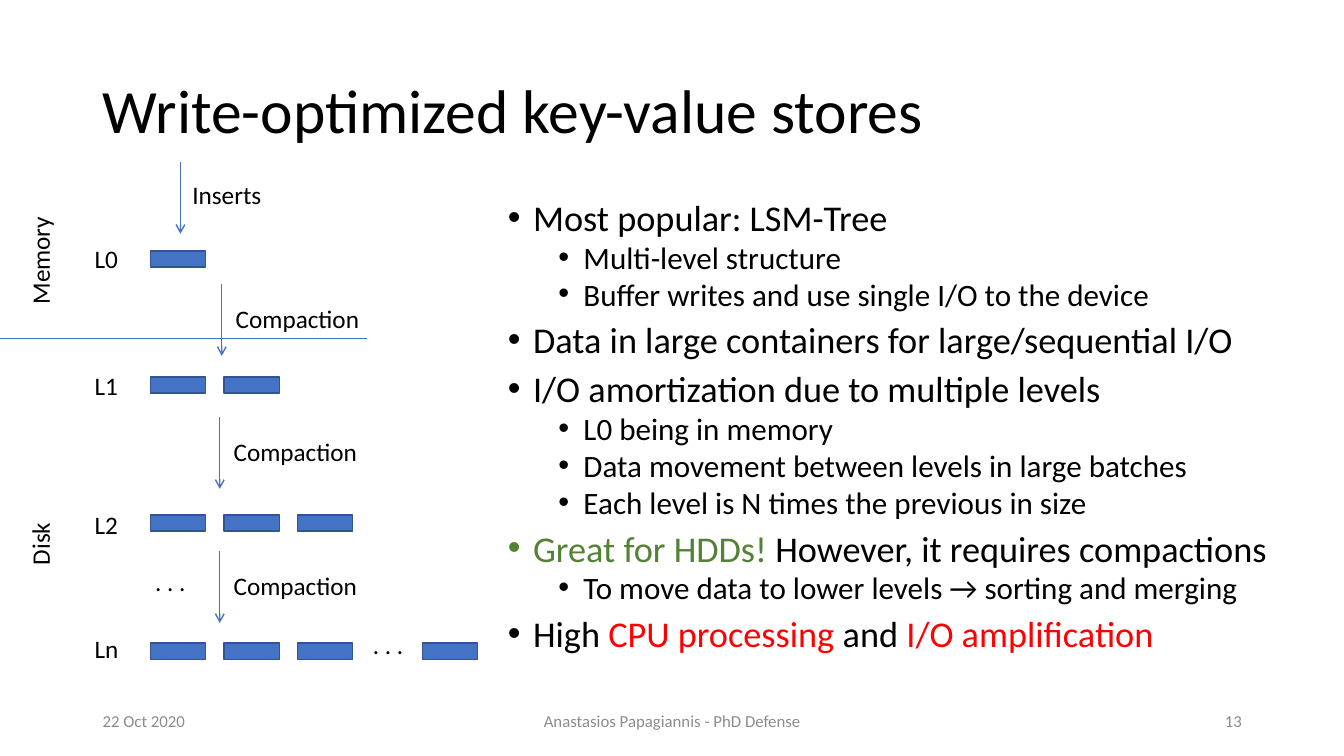
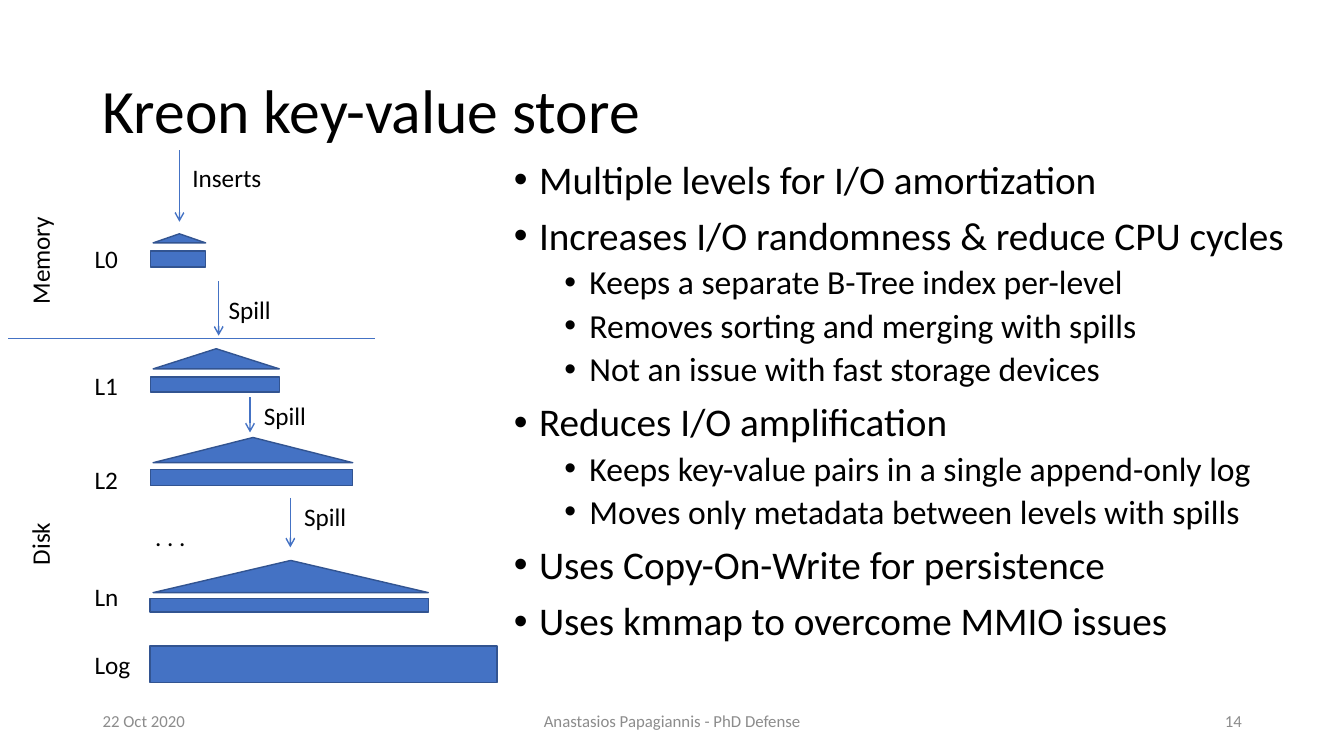
from dataclasses import dataclass

from lxml import etree
from pptx import Presentation
from pptx.dml.color import RGBColor
from pptx.enum.shapes import MSO_CONNECTOR, MSO_SHAPE
from pptx.enum.text import MSO_ANCHOR, MSO_AUTO_SIZE, PP_ALIGN
from pptx.oxml.ns import qn
from pptx.util import Pt

LEFT, CENTER, RIGHT = PP_ALIGN.LEFT, PP_ALIGN.CENTER, PP_ALIGN.RIGHT
TOP, MIDDLE = MSO_ANCHOR.TOP, MSO_ANCHOR.MIDDLE
NO_AUTOFIT = MSO_AUTO_SIZE.NONE
STRAIGHT = MSO_CONNECTOR.STRAIGHT
RECTANGLE, TRIANGLE = MSO_SHAPE.RECTANGLE, MSO_SHAPE.ISOSCELES_TRIANGLE
TITLE_ONLY = 5


@dataclass(frozen=True)
class Theme:
    """Colours, font and type sizes of the deck."""
    font: str = "Calibri"
    text: str = "000000"
    muted: str = "8C8C8C"
    blue: str = "4472C4"
    outline: str = "325491"
    good: str = "548235"
    bad: str = "FF0000"
    title_size: float = 44
    label_size: float = 18
    footer_size: float = 12


THEME = Theme()
BAR_LEFT, BAR_WIDTH, BAR_HEIGHT, BAR_PITCH = 107.3, 39.6, 11.5, 52.56
TRIANGLE_LEFT = 109.4
LABEL_LEFT, LABEL_HEIGHT = 60.5, 28
DOTS_LEFT, DOTS_WIDTH, DOTS_HEIGHT = 85, 73.4, 33.8
DIVIDER_TOP, DIVIDER_WIDTH = 242, 262
DATE, EVENT = "22 Oct 2020", "Anastasios Papagiannis - PhD Defense"

LSM_BODY = [
    (0, ["Most popular: LSM-Tree"]),
    (1, ["Multi-level structure"]),
    (1, ["Buffer writes and use single I/O to the device"]),
    (0, ["Data in large containers for large/sequential I/O"]),
    (0, ["I/O amortization due to multiple levels"]),
    (1, ["L0 being in memory"]),
    (1, ["Data movement between levels in large batches"]),
    (1, ["Each level is N times the previous in size"]),
    (0, [("Great for HDDs!", THEME.good), " However, it requires compactions"]),
    (1, ["To move data to lower levels → sorting and merging"]),
    (0, ["High ", ("CPU processing ", THEME.bad), "and ",
         ("I/O amplification", THEME.bad)]),
]
LSM_LEVELS = [
    ("L0", 172.8, 179.3, 1),
    ("L1", 263.5, 269.3, 2),
    ("L2", 362.9, 367.9, 3),
    ("Ln", 451.4, 459.4, 3),
]
LSM_ARROWS = [
    ("Inserts", 128.9, 115.9, 167, 130.3, 126.7, 102.2),
    ("Compaction", 158.4, 203, 254.2, 161.3, 215.3, 102.2),
    ("Compaction", 157, 298.1, 349.2, 159.8, 310.3, 102.2),
    ("Compaction", 157, 393.8, 445, 159.8, 406.1, 102.2),
]

KREON_BODY = [
    (0, ["Multiple levels for I/O amortization"]),
    (0, ["Increases I/O randomness & reduce CPU cycles"]),
    (1, ["Keeps a separate B-Tree index per-level"]),
    (1, ["Removes sorting and merging with spills"]),
    (1, ["Not an issue with fast storage devices"]),
    (0, ["Reduces I/O amplification"]),
    (1, ["Keeps key-value pairs in a single append-only log"]),
    (1, ["Moves only metadata between levels with spills"]),
    (0, ["Uses Copy-On-Write for persistence"]),
    (0, ["Uses kmmap to overcome MMIO issues"]),
]
KREON_LEVELS = [
    ("L0", 172.8, 179.3, 39.6, 11.5, 167, 6.5),
    ("L1", 263.5, 269.3, 92.2, 10.8, 249.1, 14.4),
    ("L2", 330.5, 335.5, 144.7, 11.5, 312.5, 18),
    ("Ln", 414, 427.7, 198.7, 9.4, 400.3, 23),
]
KREON_ARROWS = [
    ("Inserts", 128.2, 107.3, 158.4, 130.3, 115.2, 102.2),
    ("Spill", 156.2, 200.9, 239.8, 156.2, 208.8, 41.8),
    ("Spill", 178.6, 283.7, 308.9, 181.4, 285.1, 41.8),
    ("Spill", 207.4, 355.7, 391, 210.2, 357.1, 41.8),
]


def apply_format(target, values):
    """Set every attribute named in a dict of format values."""
    for name, value in values.items():
        setattr(target, name, value)


def points(*lengths):
    """Convert numbers to point lengths."""
    return [Pt(length) for length in lengths]


def add_span(para, text, size, color=THEME.text):
    """Append a run in the theme font."""
    span = para.add_run()
    span.text = text
    apply_format(span.font, {"name": THEME.font, "size": Pt(size)})
    span.font.color.rgb = RGBColor.from_string(color)


def add_box(page, place, wrap=True, anchor=TOP):
    """Add an empty text box."""
    box = page.shapes.add_textbox(*points(*place))
    apply_format(box.text_frame, {
        "word_wrap": wrap, "auto_size": NO_AUTOFIT, "vertical_anchor": anchor})
    return box


def add_title(page, text):
    """Move, format and fill the title placeholder."""
    title = page.shapes.title
    places = dict(zip(("left", "top", "width", "height"),
                      points(66.2, 28.8, 828, 104.4)))
    apply_format(title, places)
    apply_format(title.text_frame, {
        "word_wrap": True, "auto_size": NO_AUTOFIT, "vertical_anchor": MIDDLE})
    para = title.text_frame.paragraphs[0]
    apply_format(para, {"alignment": LEFT, "line_spacing": 0.9})
    add_span(para, text, THEME.title_size)


def add_bullet(para, level):
    """Give a paragraph a hanging round bullet."""
    props = para._p.get_or_add_pPr()
    props.set("marL", str(Pt(18 + 36 * level)))
    props.set("indent", str(-Pt(18)))
    etree.SubElement(props, qn("a:buFont")).set("typeface", "Arial")
    etree.SubElement(props, qn("a:buChar")).set("char", "•")


def add_body(page, place, lines, sizes, spacing):
    """Add the two-level bullet list."""
    frame = add_box(page, place).text_frame
    for index, (level, spans) in enumerate(lines):
        para = frame.add_paragraph() if index else frame.paragraphs[0]
        apply_format(para, {
            "level": level, "alignment": LEFT, "line_spacing": spacing,
            "space_before": Pt(5 if level else 10)})
        add_bullet(para, level)
        for span in spans:
            text, color = (span, THEME.text) if isinstance(span, str) else span
            add_span(para, text, sizes[level], color)


def add_label(page, text, place, alignment=LEFT, spacing=0.9, rotation=0):
    """Add a diagram label."""
    box = add_box(page, place, wrap=False)
    box.rotation = rotation
    para = box.text_frame.paragraphs[0]
    apply_format(para, {"alignment": alignment, "line_spacing": spacing,
                        "space_before": Pt(5.8)})
    add_span(para, text, THEME.label_size)


def add_level_label(page, text, top):
    """Name one storage level."""
    add_label(page, text, (LABEL_LEFT, top, 33.8, LABEL_HEIGHT))


def add_dots(page, left, top):
    """Add an ellipsis for the levels or blocks left out."""
    add_label(page, ". . .", (left, top, DOTS_WIDTH, DOTS_HEIGHT), CENTER, 1.0)


def add_block(page, kind, *place):
    """Add a blue outlined shape."""
    block = page.shapes.add_shape(kind, *points(*place))
    block.shadow.inherit = False
    block.fill.solid()
    block.fill.fore_color.rgb = RGBColor.from_string(THEME.blue)
    block.line.color.rgb = RGBColor.from_string(THEME.outline)
    block.line.width = Pt(1)


def add_line(page, start, end, arrow=False):
    """Add a blue line with an optional open arrowhead."""
    line = page.shapes.add_connector(STRAIGHT, *points(*start, *end))
    line.line.color.rgb = RGBColor.from_string(THEME.blue)
    line.line.width = Pt(1)
    props = line.element.spPr
    if arrow:
        etree.SubElement(props.find(qn("a:ln")), qn("a:tailEnd")).set("type", "arrow")
    etree.SubElement(props, qn("a:effectLst"))


def add_arrows(page, arrows):
    """Add the captioned downward arrows."""
    for text, x, top, bottom, label_left, label_top, width in arrows:
        add_line(page, (x, top), (x, bottom), arrow=True)
        add_label(page, text, (label_left, label_top, width, LABEL_HEIGHT))


def add_tiers(page, divider_left):
    """Separate memory from disk."""
    add_line(page, (divider_left, DIVIDER_TOP),
             (divider_left + DIVIDER_WIDTH, DIVIDER_TOP))
    for text, top in (("Memory", 169.2), ("Disk", 371.5)):
        add_label(page, text, (-8.6, top, 79.2, 33.8), CENTER, 1.0, 270)


def add_footer(page, number):
    """Add date, event and page number."""
    for text, left, width, alignment in (
            (DATE, 66.2, 216, LEFT), (EVENT, 318.2, 324, CENTER),
            (str(number), 678.2, 216, RIGHT)):
        box = add_box(page, (left, 500.4, width, 28.8), anchor=MIDDLE)
        para = box.text_frame.paragraphs[0]
        para.alignment = alignment
        add_span(para, text, THEME.footer_size, THEME.muted)


def add_page(deck, title, number, divider_left):
    """Add a page with the parts that all pages share."""
    page = deck.slides.add_slide(deck.slide_layouts[TITLE_ONLY])
    add_title(page, title)
    add_footer(page, number)
    add_tiers(page, divider_left)
    return page


def build_lsm_page(deck):
    """Build the page on write-optimized stores."""
    page = add_page(deck, "Write-optimized key-value stores", 13, 0)
    add_body(page, (355.7, 141.8, 603.4, 337), LSM_BODY, (25.9, 22.2), 0.8)
    for text, label_top, bar_top, count in LSM_LEVELS:
        add_level_label(page, text, label_top)
        for index in range(count):
            add_block(page, RECTANGLE, BAR_LEFT + index * BAR_PITCH, bar_top,
                      BAR_WIDTH, BAR_HEIGHT)
    add_block(page, RECTANGLE, 301.7, LSM_LEVELS[-1][2], BAR_WIDTH, BAR_HEIGHT)
    add_dots(page, DOTS_LEFT, 401)
    add_dots(page, 240.5, 445.7)
    add_arrows(page, LSM_ARROWS)


def build_kreon_page(deck):
    """Build the page on the store with an index per level."""
    page = add_page(deck, "Kreon key-value store", 14, 5.8)
    add_body(page, (360, 110.9, 595.4, 380.2), KREON_BODY, (28, 24), 0.9)
    for text, label_top, bar_top, width, height, index_top, index_height in KREON_LEVELS:
        add_level_label(page, text, label_top)
        add_block(page, RECTANGLE, BAR_LEFT, bar_top, width, height)
        add_block(page, TRIANGLE, TRIANGLE_LEFT, index_top,
                  BAR_LEFT + width - TRIANGLE_LEFT, index_height)
    add_level_label(page, "Log", 463)
    add_block(page, RECTANGLE, BAR_LEFT, 461.5, 247.7, 25.9)
    add_dots(page, DOTS_LEFT, 368.6)
    add_arrows(page, KREON_ARROWS)


def main():
    """Build and save the deck."""
    deck = Presentation()
    apply_format(deck, {"slide_width": Pt(960), "slide_height": Pt(540)})
    build_lsm_page(deck)
    build_kreon_page(deck)
    deck.save("out.pptx")


if __name__ == "__main__":
    main()
